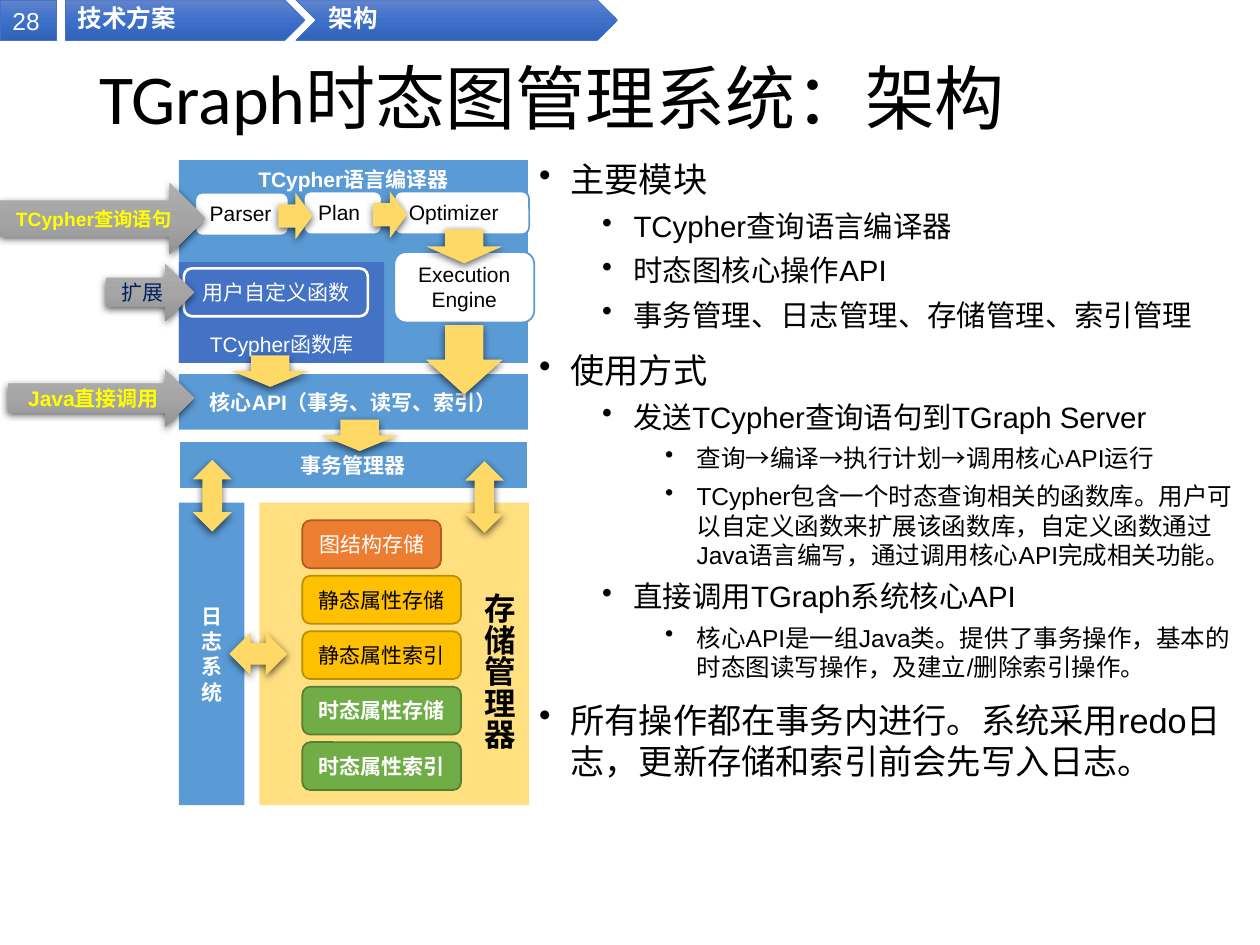
"""Build the TGraph architecture slide."""
import copy
from typing import NamedTuple, Optional

import pptx
import pptx.dml.color
import pptx.enum.shapes
import pptx.enum.text
import pptx.oxml
import pptx.oxml.ns
import pptx.util
from pptx.util import Inches

RGBColor = pptx.dml.color.RGBColor
Shape = pptx.enum.shapes.MSO_SHAPE
Align = pptx.enum.text.PP_ALIGN
Anchor = pptx.enum.text.MSO_ANCHOR
qn = pptx.oxml.ns.qn

WHITE, BLACK, NAVY, YELLOW = map(RGBColor.from_string, ("FFFFFF", "000000", "002060", "FFFF00"))
SKY, ROYAL, SAND = map(RGBColor.from_string, ("5B9BD5", "4472C4", "FFD966"))
AMBER, ORANGE, GREEN = map(RGBColor.from_string, ("FFC000", "ED7D31", "70AD47"))
DARK_AMBER, DARK_ORANGE, DARK_GREEN = map(RGBColor.from_string, ("BD8E00", "AF5C24", "538035"))
BLUE_GRADIENT = list(map(RGBColor.from_string, ("6183CB", "3E70CA", "3062BB")))
GREY_GRADIENT = list(map(RGBColor.from_string, ("AFAFAF", "A5A5A5", "939393")))


class Style(NamedTuple):
    fills: list
    color: RGBColor = WHITE
    bold: bool = False
    line: Optional[RGBColor] = None
    line_width: float = 1
    size: float = 12
    font: str = "Arial"
    align: Align = Align.CENTER
    anchor: Anchor = Anchor.MIDDLE
    line_spacing: float = 1
    shadow: bool = False
    opacity: int = 100


class Block(NamedTuple):
    kind: Shape
    left: float
    top: float
    width: float
    height: float
    style: Style
    text: str = ""


class Level(NamedTuple):
    margin: float
    size: float
    space_before: float


PANEL = Style([SKY], bold=True)
LIBRARY = Style([ROYAL])
STAGE = Style([WHITE], BLACK, line=SKY, align=Align.LEFT, anchor=Anchor.TOP)
STATIC_STORE = Style([AMBER], BLACK, line=DARK_AMBER)
TEMPORAL_STORE = Style([GREEN], bold=True, line=DARK_GREEN)
ENTRY = Style(GREY_GRADIENT, YELLOW, bold=True, shadow=True)
FLOW = Style([SAND], shadow=True)
PAGE = Style(BLUE_GRADIENT, line=ROYAL, line_width=0.5, size=14, align=Align.LEFT, anchor=Anchor.TOP)
CRUMB = PAGE._replace(bold=True, font="Calibri", line_spacing=0.9)
TITLE = Style([], BLACK, size=40, font="Calibri", align=Align.LEFT, line_spacing=0.9)
STORAGE_LABEL = Style([], BLACK, bold=True, size=18, align=Align.LEFT, anchor=Anchor.TOP)

STORES = [
    ("图结构存储", 1.1, Style([ORANGE], line=DARK_ORANGE)),
    ("静态属性存储", 1.26, STATIC_STORE),
    ("静态属性索引", 1.26, STATIC_STORE),
    ("时态属性存储", 1.26, TEMPORAL_STORE),
    ("时态属性索引", 1.26, TEMPORAL_STORE),
]
MODULES = [
    Block(Shape.RECTANGLE, 0, 0, 0.45, 0.32, PAGE, "28"),
    Block(Shape.PENTAGON, 0.52, 0, 1.9, 0.32, CRUMB, "技术方案"),
    Block(Shape.CHEVRON, 2.35, 0, 2.55, 0.32, CRUMB, "架构"),
    Block(Shape.RECTANGLE, 1.42, 1.27, 2.77, 1.61, PANEL._replace(anchor=Anchor.TOP), "TCypher语言编译器"),
    Block(Shape.RECTANGLE, 2.06, 3.99, 2.14, 2.4, Style([AMBER], opacity=50)),
    Block(Shape.RECTANGLE, 1.42, 3.99, 0.52, 2.4, PANEL, "日志系统"),
    Block(Shape.RECTANGLE, 1.42, 2.08, 1.63, 0.8, LIBRARY._replace(anchor=Anchor.BOTTOM), "TCypher函数库"),
    Block(Shape.RECTANGLE, 1.42, 3.5, 2.77, 0.38, PANEL._replace(line=WHITE, line_width=1.5), "事务管理器"),
    Block(Shape.RECTANGLE, 1.42, 2.97, 2.77, 0.44, PANEL, "核心API（事务、读写、索引）"),
    Block(Shape.ROUNDED_RECTANGLE, 1.46, 2.13, 1.46, 0.38,
          LIBRARY._replace(line=WHITE, line_width=1.5), "用户自定义函数"),
    *(Block(Shape.ROUNDED_RECTANGLE, 2.4, 4.13 + 0.44 * row, width, 0.38, style, text)
      for row, (text, width, style) in enumerate(STORES)),
    Block(Shape.RIGHT_ARROW, 0.84, 2.09, 0.7, 0.46, ENTRY._replace(color=NAVY, bold=False), "扩展"),
    Block(Shape.RIGHT_ARROW, 0.06, 2.93, 1.48, 0.46, ENTRY, "Java直接调用"),
    Block(Shape.ROUNDED_RECTANGLE, 1.55, 1.53, 0.74, 0.34, STAGE, "Parser"),
    Block(Shape.ROUNDED_RECTANGLE, 2.41, 1.52, 0.62, 0.34, STAGE, "Plan"),
    Block(Shape.ROUNDED_RECTANGLE, 3.13, 2, 1.11, 0.56, STAGE._replace(align=Align.CENTER), "Execution\nEngine"),
    Block(Shape.RIGHT_ARROW, 0, 1.45, 1.63, 0.57, ENTRY._replace(size=11), "TCypher查询语句"),
    Block(Shape.ROUNDED_RECTANGLE, 3.13, 1.52, 1.07, 0.34, STAGE, "Optimizer"),
    Block(Shape.DOWN_ARROW, 3.38, 1.82, 0.61, 0.27, FLOW),
    Block(Shape.RIGHT_ARROW, 2.96, 1.52, 0.27, 0.37, FLOW),
    Block(Shape.RIGHT_ARROW, 2.21, 1.53, 0.27, 0.37, FLOW),
    Block(Shape.UP_DOWN_ARROW, 1.53, 3.65, 0.31, 0.57, FLOW),
    Block(Shape.DOWN_ARROW, 3.38, 2.58, 0.61, 0.55, FLOW),
    Block(Shape.UP_DOWN_ARROW, 3.69, 3.66, 0.31, 0.57, FLOW),
    Block(Shape.LEFT_RIGHT_ARROW, 1.82, 5.02, 0.46, 0.34, FLOW),
    Block(Shape.DOWN_ARROW, 1.84, 2.82, 0.61, 0.25, FLOW),
    Block(Shape.DOWN_ARROW, 2.55, 3.33, 0.61, 0.25, FLOW),
]
LEVELS = [Level(0.25, 19.6, 10), Level(0.75, 16.8, 5), Level(1.25, 14, 5)]
OUTLINE = [
    (0, "主要模块"),
    (1, "TCypher查询语言编译器"),
    (1, "时态图核心操作API"),
    (1, "事务管理、日志管理、存储管理、索引管理"),
    (0, "使用方式"),
    (1, "发送TCypher查询语句到TGraph Server"),
    (2, "查询→编译→执行计划→调用核心API运行"),
    (2, "TCypher包含一个时态查询相关的函数库。用户可以自定义函数来扩展该函数库，"
        "自定义函数通过Java语言编写，通过调用核心API完成相关功能。"),
    (1, "直接调用TGraph系统核心API"),
    (2, "核心API是一组Java类。提供了事务操作，基本的时态图读写操作，及建立/删除索引操作。"),
    (0, "所有操作都在事务内进行。系统采用redo日志，更新存储和索引前会先写入日志。"),
]


def append_xml(parent, tag: str, rest: str) -> None:
    parent.append(pptx.oxml.parse_xml(f'<a:{tag} {pptx.oxml.ns.nsdecls("a")} {rest}'))


def write(frame, text: str, style: Style) -> None:
    frame.text, frame.vertical_anchor = text, style.anchor
    for paragraph in frame.paragraphs:
        paragraph.alignment, paragraph.line_spacing = style.align, style.line_spacing
        font = paragraph.font
        font.name, font.size, font.bold = style.font, pptx.util.Pt(style.size), style.bold
        font.color.rgb = style.color


def fill_shape(shape, style: Style) -> None:
    if len(style.fills) > 1:
        shape.fill.gradient()
        shape.fill.gradient_angle = 270
        stops = shape._element.spPr.find(".//" + qn("a:gsLst"))
        stops.insert(1, copy.deepcopy(stops[0]))
        for index, (stop, color) in enumerate(zip(shape.fill.gradient_stops, style.fills)):
            stop.color.rgb, stop.position = color, index / 2
    else:
        shape.fill.solid()
        shape.fill.fore_color.rgb = style.fills[0]
        if style.opacity < 100:
            append_xml(shape._element.spPr.find(".//" + qn("a:srgbClr")), "alpha", f'val="{style.opacity * 1000}"/>')


def draw_block(slide, block: Block) -> None:
    style = block.style
    shape = slide.shapes.add_shape(block.kind, *map(Inches, block[1:5]))
    fill_shape(shape, style)
    if style.line is None:
        shape.line.fill.background()
    else:
        shape.line.color.rgb, shape.line.width = style.line, pptx.util.Pt(style.line_width)
    shape.shadow.inherit = False
    if style.shadow:
        append_xml(shape._element.spPr.find(qn("a:effectLst")), "outerShdw",
                   'blurRad="57150" dist="19050" dir="5400000" algn="ctr" rotWithShape="0">'
                   '<a:srgbClr val="000000"><a:alpha val="63000"/></a:srgbClr></a:outerShdw>')
    if block.text:
        write(shape.text_frame, block.text, style)


def draw_outline(slide) -> None:
    frame = slide.shapes.add_textbox(*map(Inches, (4.18, 1.21, 5.76, 6.29))).text_frame
    frame.word_wrap = True
    for index, (depth, text) in enumerate(OUTLINE):
        level = LEVELS[depth]
        paragraph = frame.add_paragraph() if index else frame.paragraphs[0]
        paragraph.text, paragraph.level = text, depth
        properties = paragraph._p.get_or_add_pPr()
        properties.set("marL", str(Inches(level.margin)))
        properties.set("indent", str(Inches(-0.25)))
        append_xml(properties, "buChar", 'char="•"/>')
        paragraph.space_before = pptx.util.Pt(level.space_before if index else 0)
        paragraph.font.name, paragraph.font.size = "Arial", pptx.util.Pt(level.size)
        paragraph.font.color.rgb = BLACK


def main() -> None:
    deck = pptx.Presentation()
    deck.slide_width, deck.slide_height = Inches(10), Inches(7.5)
    slide = deck.slides.add_slide(deck.slide_layouts[5])
    title = slide.shapes.title
    title.left, title.top, title.width, title.height = map(Inches, (0.69, 0.4, 8.62, 0.81))
    write(title.text_frame, "TGraph时态图管理系统：架构", TITLE)
    draw_outline(slide)
    for block in MODULES:
        draw_block(slide, block)
    storage_label = slide.shapes.add_textbox(*map(Inches, (3.66, 4.61, 0.5, 1.36))).text_frame
    storage_label.word_wrap = False
    storage_label._txBody.bodyPr.set("vert", "eaVert")
    write(storage_label, "存储管理器", STORAGE_LABEL)
    deck.save("out.pptx")


if __name__ == "__main__":
    main()
